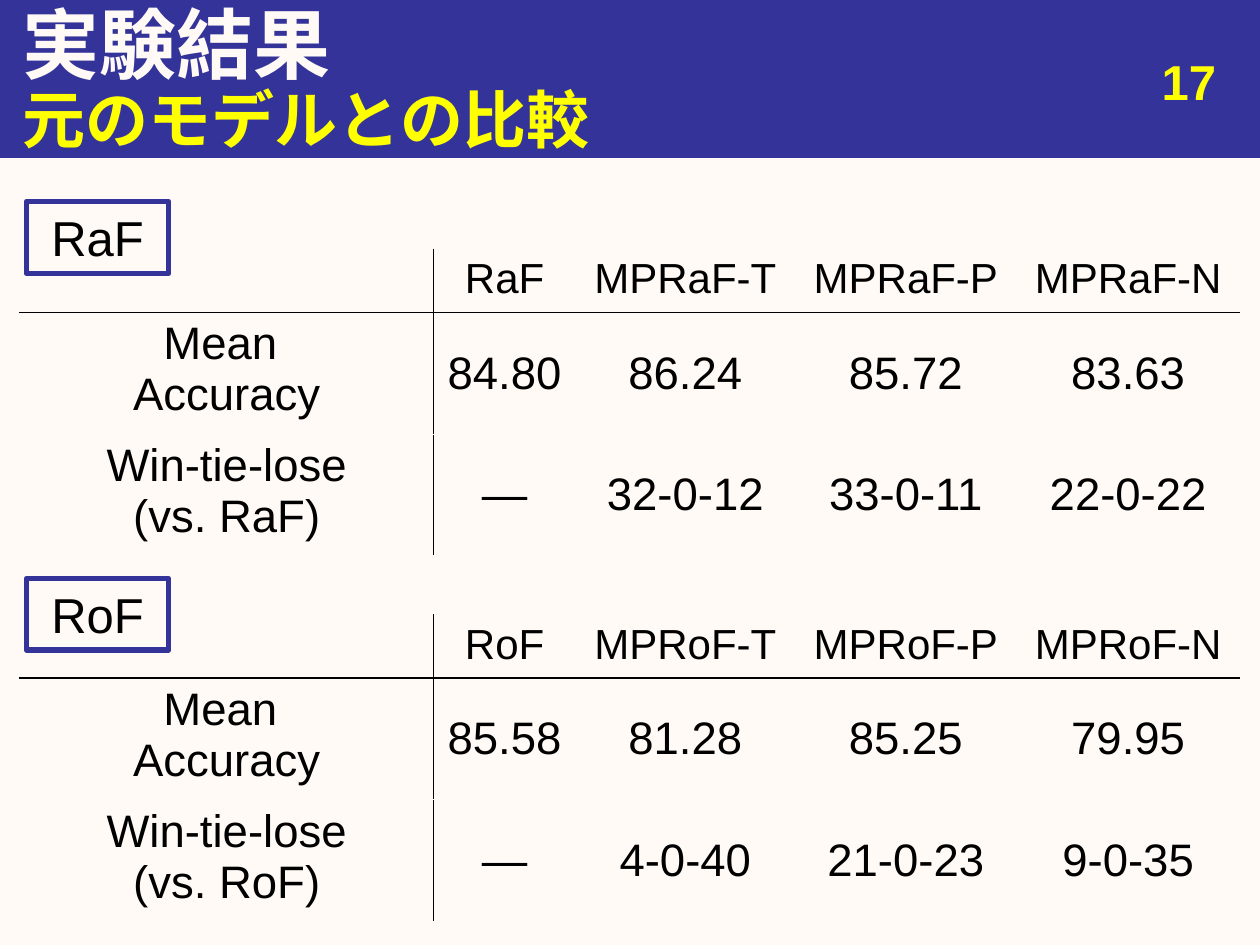
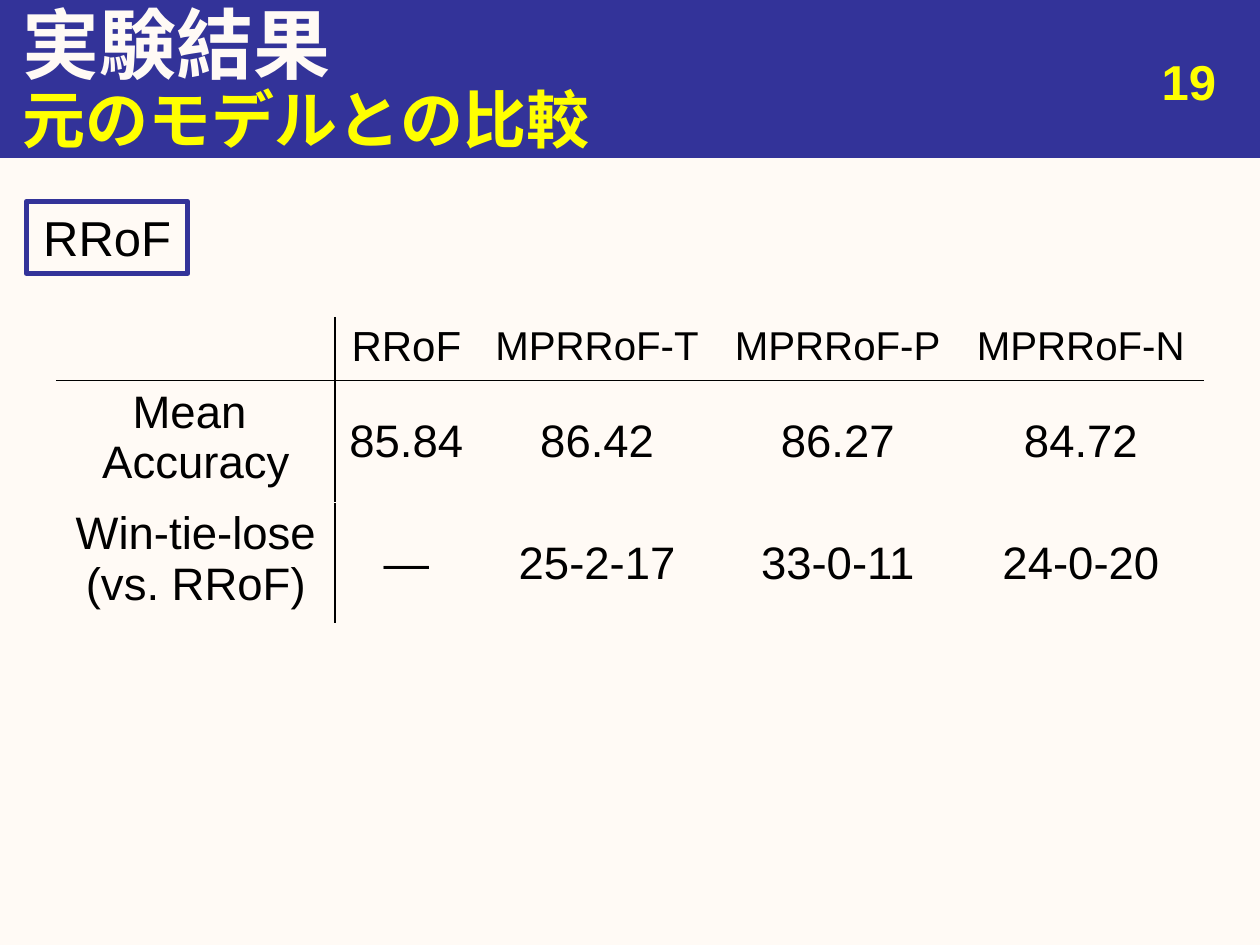
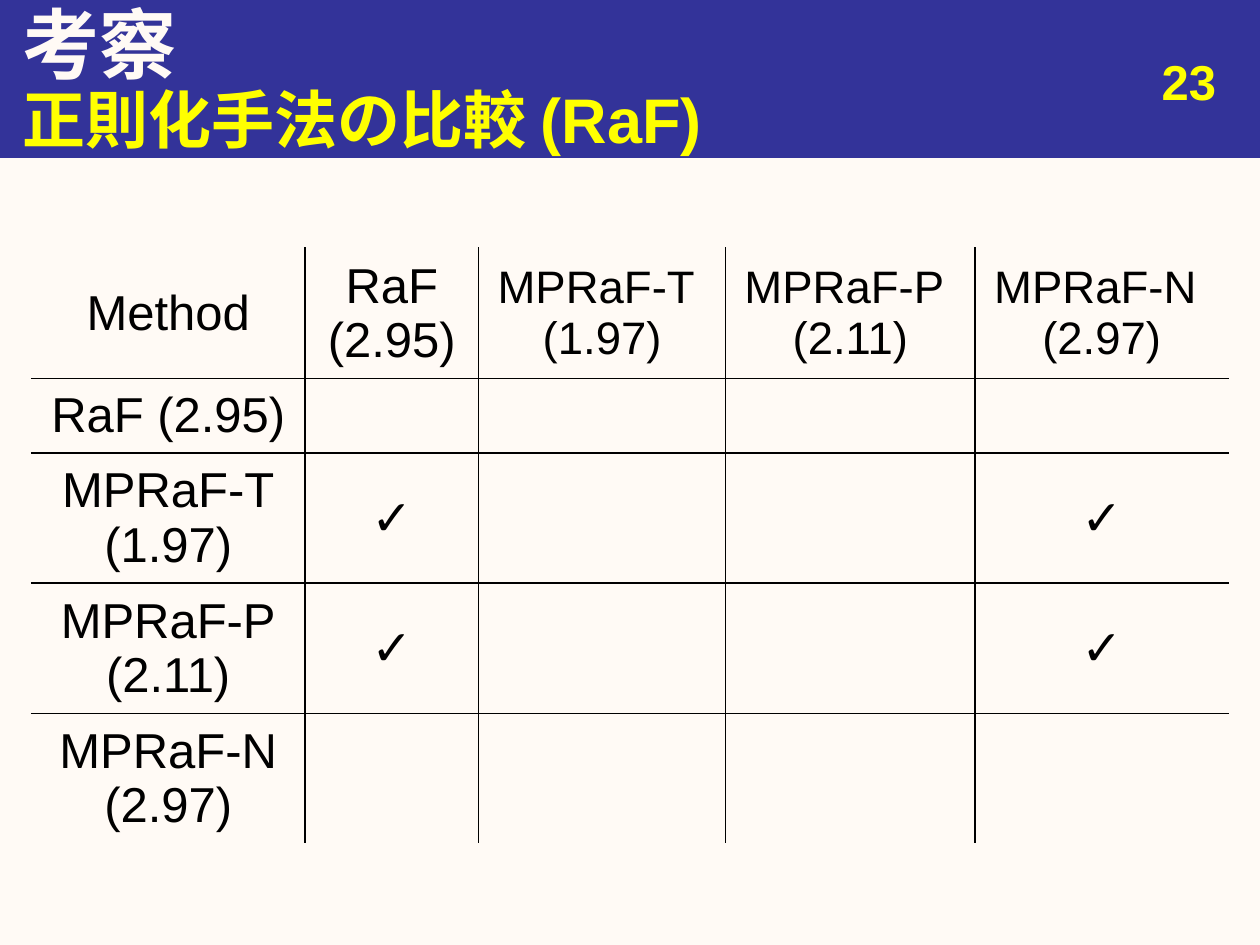
from dataclasses import dataclass
from typing import Any

from lxml.etree import SubElement
from pptx import Presentation
from pptx.dml.color import RGBColor
from pptx.enum.shapes import MSO_SHAPE
from pptx.enum.text import MSO_ANCHOR, MSO_AUTO_SIZE, PP_ALIGN
from pptx.oxml.ns import qn
from pptx.util import Emu, Pt

SCALE = 9144
NO_GRID_STYLE = "{2D5ABB26-0587-4C30-8999-92F81FD0307C}"


@dataclass(frozen=True)
class Theme:
    """Colours, font and type sizes of the deck."""
    page: str = "FFFAF5"
    band: str = "333399"
    accent: str = "FFFF00"
    ink: str = "000000"
    font: str = "Arial"
    title: int = 44
    subtitle: int = 36
    label: int = 28
    table: int = 26
    head: int = 24
    tight_head: int = 23


@dataclass(frozen=True)
class Box:
    """A rectangle in px."""
    left: int
    top: int
    width: int
    height: int

    def emu(self) -> list[Emu]:
        """Return the four lengths in EMU."""
        return [px(v) for v in (self.left, self.top, self.width, self.height)]


@dataclass(frozen=True)
class Label:
    """A framed model name."""
    text: str
    box: Box


@dataclass(frozen=True)
class Table:
    """A table with its type sizes and ruling."""
    left: int
    top: int
    cols: list[int]
    rows: list[int]
    cells: list[list[str]]
    first_head: int
    head: int
    body: int
    full_grid: bool = False


@dataclass(frozen=True)
class Page:
    """The content of one slide."""
    number: int
    title: str
    subtitle: str
    tables: list[Table]
    labels: list[Label]


T = Theme()
BAND = Box(0, 0, 1000, 125)
TITLE = Box(8, 0, 992, 67)
SUBTITLE = Box(8, 62, 992, 63)
NUMBER = Box(742, 36, 233, 52)
VARIANTS = "TPN"


def px(value: int) -> Emu:
    """Turn px into EMU."""
    return Emu(value * SCALE)


def apply(obj: Any, formats: dict[str, Any]) -> None:
    """Set every attribute named in the format."""
    for name, value in formats.items():
        setattr(obj, name, value)


def write(tf: Any, text: str, size: int, color: str, align: PP_ALIGN, bold: bool = False) -> None:
    """Fill a text frame with uniformly formatted paragraphs."""
    tf.text = text
    for p in tf.paragraphs:
        p.alignment = align
        for r in p.runs:
            apply(r.font, {"name": T.font, "size": Pt(size), "bold": bold})
            r.font.color.rgb = RGBColor.from_string(color)


def place(ph: Any, box: Box, text: str, size: int, color: str) -> None:
    """Move a heading placeholder and set its text without a bullet."""
    apply(ph, dict(zip(("left", "top", "width", "height"), box.emu())))
    tf = ph.text_frame
    apply(tf, {"auto_size": MSO_AUTO_SIZE.NONE, "vertical_anchor": MSO_ANCHOR.MIDDLE})
    write(tf, text, size, color, PP_ALIGN.LEFT, bold=True)
    p = tf.paragraphs[0]
    pPr = p._p.get_or_add_pPr()
    for name in ("marL", "indent"):
        pPr.set(name, "0")
    SubElement(pPr, qn("a:buNone"))
    p.space_before = Pt(0)


def add_rect(s: Any, box: Box, line_width: float) -> Any:
    """Add an unfilled rectangle with a line in the band colour."""
    sp = s.shapes.add_shape(MSO_SHAPE.RECTANGLE, *box.emu())
    sp.shadow.inherit = False
    sp.fill.background()
    sp.line.color.rgb = RGBColor.from_string(T.band)
    sp.line.width = Pt(line_width)
    return sp


def move_band_to_master(prs: Any, s: Any) -> None:
    """Draw the title band once, behind everything on the master."""
    sp = add_rect(s, BAND, 0.75)
    sp.fill.solid()
    sp.fill.fore_color.rgb = RGBColor.from_string(T.band)
    prs.slide_master.shapes._spTree.insert(2, sp._element)


def add_number(s: Any, number: int) -> None:
    """Add the page number at the right of the band."""
    tf = s.shapes.add_textbox(*NUMBER.emu()).text_frame
    tf.word_wrap = True
    write(tf, str(number), T.label, T.accent, PP_ALIGN.RIGHT, bold=True)


def add_label(s: Any, label: Label) -> None:
    """Add a framed model name."""
    tf = add_rect(s, label.box, 3).text_frame
    apply(tf, {"word_wrap": True, "vertical_anchor": MSO_ANCHOR.TOP,
               "auto_size": MSO_AUTO_SIZE.SHAPE_TO_FIT_TEXT})
    write(tf, label.text, T.label, T.ink, PP_ALIGN.CENTER)


def row_rule(table: Table, i: int) -> str:
    """Return the colour of the horizontal rule above row i."""
    inner = 0 < i < len(table.rows)
    return T.ink if i == 1 or (table.full_grid and inner) else T.page


def col_rule(table: Table, j: int) -> str | None:
    """Return the colour of the vertical rule left of column j, if any."""
    if j in (0, len(table.cols)):
        return T.page
    return T.ink if j == 1 or table.full_grid else None


def add_borders(cell: Any, table: Table, i: int, j: int) -> None:
    """Rule the four sides of a cell."""
    tcPr = cell._tc.get_or_add_tcPr()
    sides = {"a:lnL": col_rule(table, j), "a:lnR": col_rule(table, j + 1),
             "a:lnT": row_rule(table, i), "a:lnB": row_rule(table, i + 1)}
    for tag, color in sides.items():
        ln = SubElement(tcPr, qn(tag), w=str(Pt(1)))
        if color:
            fill = SubElement(ln, qn("a:solidFill"))
            SubElement(fill, qn("a:srgbClr"), val=color)
        else:
            SubElement(ln, qn("a:noFill"))


def add_table(s: Any, table: Table) -> None:
    """Add a ruled table whose rows grow with their text."""
    box = Box(table.left, table.top, sum(table.cols), sum(table.rows))
    tbl = s.shapes.add_table(len(table.rows), len(table.cols), *box.emu()).table
    apply(tbl, {"first_row": False, "horz_banding": False})
    tbl._tbl.tblPr.find(qn("a:tableStyleId")).text = NO_GRID_STYLE
    for col, width in zip(tbl.columns, table.cols):
        col.width = px(width)
    for row, height in zip(tbl.rows, table.rows):
        row.height = px(height)
    for i, texts in enumerate(table.cells):
        for j, text in enumerate(texts):
            cell = tbl.cell(i, j)
            add_borders(cell, table, i, j)
            cell.fill.background()
            at_top = not table.full_grid and 0 in (i, j)
            cell.vertical_anchor = MSO_ANCHOR.TOP if at_top else MSO_ANCHOR.MIDDLE
            if text:
                head = table.first_head if j < 2 else table.head
                size = table.body if i else head
                write(cell.text_frame, text, size, T.ink, PP_ALIGN.CENTER)


def results(model: str, left: int, top: int, cols: list[int], accuracy: list[str],
            records: list[str], head: int = T.head) -> Table:
    """Build the table that compares a model with its variants."""
    cells = [["", model, *(f"MP{model}-{v}" for v in VARIANTS)],
             ["Mean \nAccuracy", *accuracy],
             [f"Win-tie-lose\n(vs. {model})", "―", *records]]
    return Table(left, top, cols, [41] * 3, cells, T.head, head, T.table)


def significance() -> Table:
    """Build the method-by-method table of check marks."""
    ranks = dict(zip(VARIANTS, ("1.97", "2.11", "2.97")))
    base = "RaF (2.95)"
    checks = {"T": ["✓", "", "", "✓"], "P": ["✓", "", "", "✓"], "N": [""] * 4}
    cells = [["Method", base, *(f"MPRaF-{v} \n({ranks[v]})" for v in VARIANTS)],
             [base, *[""] * 4],
             *([f"MPRaF-{v}\n({ranks[v]})", *checks[v]] for v in VARIANTS)]
    return Table(25, 197, [217, 138, 196, 198, 201], [97] + [59] * 4, cells,
                 T.label, T.table, T.label, full_grid=True)


WIDE = [328, 113, 174, 176, 177]
PAGES = [
    Page(17, "実験結果", "元のモデルとの比較",
         [results("RaF", 16, 198, WIDE, ["84.80", "86.24", "85.72", "83.63"],
                  ["32-0-12", "33-0-11", "22-0-22"]),
          results("RoF", 16, 488, WIDE, ["85.58", "81.28", "85.25", "79.95"],
                  ["4-0-40", "21-0-23", "9-0-35"])],
         [Label("RaF", Box(21, 160, 113, 57)), Label("RoF", Box(21, 459, 113, 57))]),
    Page(19, "実験結果", "元のモデルとの比較",
         [results("RRoF", 45, 252, [221, 113, 190, 192, 194],
                  ["85.84", "86.42", "86.27", "84.72"],
                  ["25-2-17", "33-0-11", "24-0-20"], T.tight_head)],
         [Label("RRoF", Box(21, 160, 128, 57))]),
    Page(23, "考察", "正則化手法の比較 (RaF)", [significance()], []),
]


def add_page(prs: Any, page: Page) -> Any:
    """Add one slide with its headings, tables and labels."""
    s = prs.slides.add_slide(prs.slide_layouts[1])
    place(s.shapes.title, TITLE, page.title, T.title, T.page)
    place(s.placeholders[1], SUBTITLE, page.subtitle, T.subtitle, T.accent)
    add_number(s, page.number)
    for table in page.tables:
        add_table(s, table)
    for label in page.labels:
        add_label(s, label)
    return s


def main() -> None:
    """Build and save the deck."""
    prs = Presentation()
    apply(prs, {"slide_width": px(1000), "slide_height": px(750)})
    fill = prs.slide_master.background.fill
    fill.solid()
    fill.fore_color.rgb = RGBColor.from_string(T.page)
    slides = [add_page(prs, page) for page in PAGES]
    move_band_to_master(prs, slides[0])
    prs.save("out.pptx")


if __name__ == "__main__":
    main()
